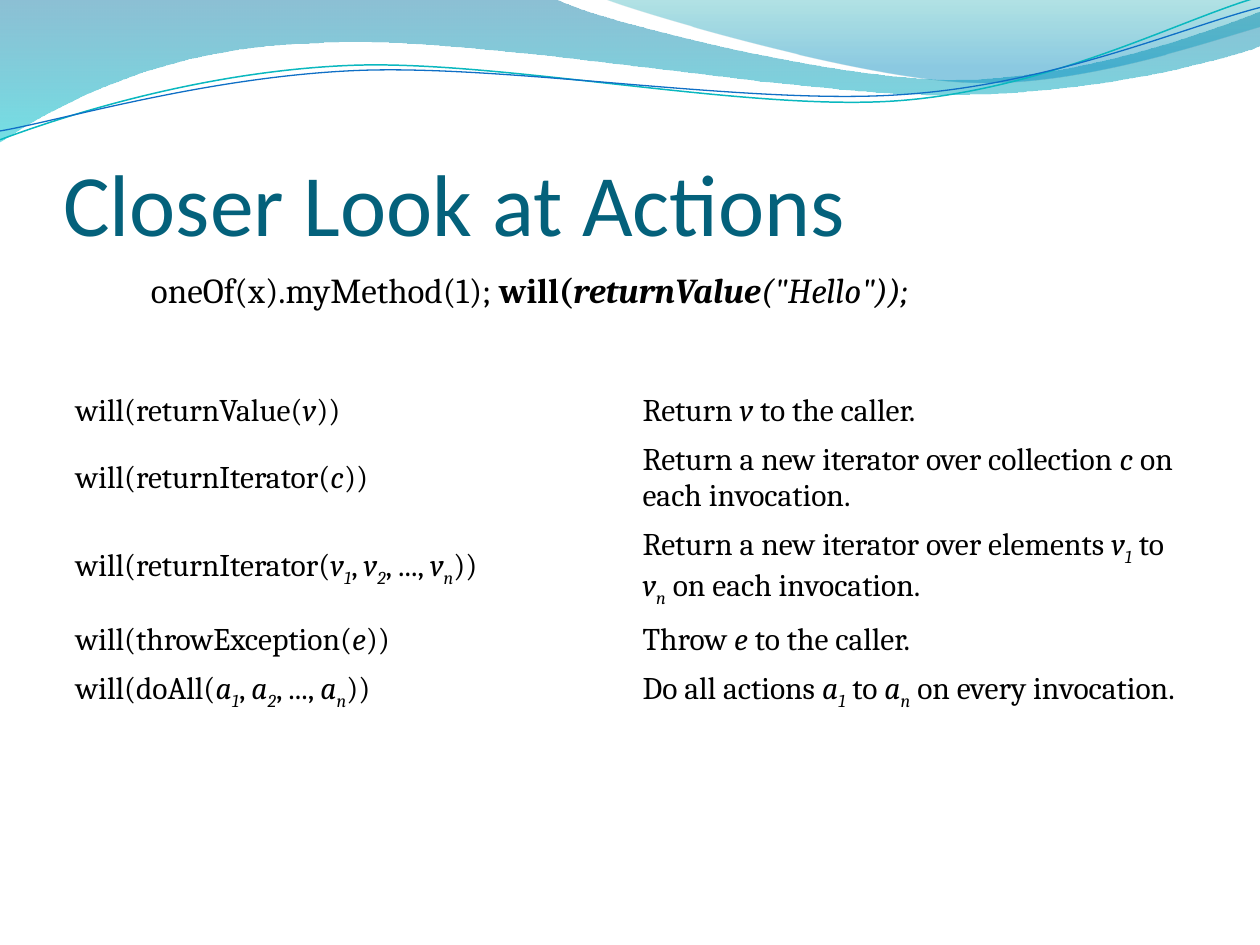
from math import cos, radians, sin

from lxml.etree import SubElement
from pptx import Presentation
from pptx.dml.color import RGBColor
from pptx.enum.text import MSO_ANCHOR, PP_ALIGN
from pptx.oxml.ns import qn
from pptx.util import Inches, Pt

TITLE_COLOR = RGBColor(0x04, 0x61, 0x7B)
TEXT_COLOR = RGBColor(0, 0, 0)
TEAL_LINE = RGBColor(0x0A, 0xB8, 0xBF)
BLUE_LINE = RGBColor(0x0F, 0x6F, 0xC6)
# Gradient stops: position, colour, opacity in percent
LEFT_STOPS = [(0, RGBColor(0x00, 0x74, 0xA1), 45), (1, RGBColor(0x00, 0xC6, 0xCF), 55)]
RIGHT_STOPS = [(0, RGBColor(0x00, 0xA1, 0xA9), 30), (0.8, RGBColor(0x00, 0x8B, 0xBF), 45)]

# Outlines in inches: one point is a straight step, three points are a Bézier curve
LEFT_BAND = [
    [(0, 0)], [(4.4, -0.01)],
    [(4.76, 0.17), (6.64, 0.63), (7.58, 0.63)],
    [(8.53, 0.63), (9.58, 0.26), (10, 0.09)],
    [(10.01, 0.36)],
    [(9.83, 0.44), (8.7, 0.76), (7.46, 0.75)],
    [(6.22, 0.75), (3.82, 0.28), (2.57, 0.34)],
    [(1.29, 0.36), (0.46, 0.83), (-0.01, 1.13)],
    [(0, 0)],
]
RIGHT_BAND = [
    [(4.79, -0.01)],
    [(5.09, 0.11), (6.82, 0.62), (7.69, 0.65)],
    [(8.56, 0.69), (9.61, 0.32), (10, 0.21)],
    [(10, 0)], [(4.79, -0.01)],
]
TEAL_WAVE = [
    [(0, 1.11)],
    [(0.48, 0.93), (1.58, 0.57), (2.77, 0.52)],
    [(3.95, 0.47), (5.93, 0.89), (7.13, 0.8)],
    [(8.33, 0.71), (9.38, 0.15), (9.98, -0.02)],
]
BLUE_WAVE = [
    [(0, 1.04)],
    [(0.47, 0.96), (1.64, 0.61), (2.83, 0.56)],
    [(4.03, 0.51), (5.97, 0.84), (7.17, 0.75)],
    [(8.36, 0.67), (9.41, 0.21), (10, 0.06)],
]
WAVE_TILT = -2.7
WAVE_CENTER = (5, 0.58)

# Braces mark a variable: one italic letter, then its subscript
ACTIONS = [
    ("will(returnValue({v}))", "Return {v} to the caller."),
    ("will(returnIterator({c}))",
     "Return a new iterator over collection {c} on each invocation."),
    ("will(returnIterator({v1}, {v2}, ..., {vn}))",
     "Return a new iterator over elements {v1} to {vn} on each invocation."),
    ("will(throwException({e}))", "Throw {e} to the caller."),
    ("will(doAll({a1}, {a2}, ..., {an}))",
     "Do all actions {a1} to {an} on every invocation."),
]


def add_span(para, text, size, font="Cambria", color=TEXT_COLOR, bold=False, italic=False):
    span = para.add_run()
    span.text = text
    span.font.size = Pt(size)
    span.font.name = font
    span.font.color.rgb = color
    span.font.bold = bold
    span.font.italic = italic
    return span


def add_marked_text(para, text, size):
    """Write text in which {v1} stands for an italic v with subscript 1."""
    for index, part in enumerate(text.replace("}", "{").split("{")):
        if index % 2 == 0:
            add_span(para, part, size)
            continue
        add_span(para, part[0], size, italic=True)
        if part[1:]:
            subscript = add_span(para, part[1:], size, italic=True)
            subscript.font._element.set("baseline", "-25000")


def turn(point, center, degrees):
    angle = radians(degrees)
    dx, dy = point[0] - center[0], point[1] - center[1]
    return (center[0] + dx * cos(angle) - dy * sin(angle),
            center[1] + dx * sin(angle) + dy * cos(angle))


def add_outline(page, box, outline):
    """Build a freeform through the step ends, then bend its curved steps."""
    left, top = box[:2]
    steps = [[(left + Inches(x), top + Inches(y)) for x, y in step] for step in outline]
    ends = [step[-1] for step in steps]
    builder = page.shapes.build_freeform(*ends[0])
    builder.add_line_segments(ends[1:], close=ends[0] == ends[-1])
    shape = builder.convert_to_shape()
    shape.shadow.inherit = False
    lines = list(shape._element.iter(qn("a:lnTo")))
    for line, step in zip(lines, steps[1:]):
        if len(step) == 3:
            curve = SubElement(line.getparent(), qn("a:cubicBezTo"))
            for x, y in step:
                point = SubElement(curve, qn("a:pt"))
                point.set("x", str(x - shape.left))
                point.set("y", str(y - shape.top))
            line.getparent().replace(line, curve)
    return shape


def add_band(page, box, outline, stops):
    band = add_outline(page, box, outline)
    band.line.fill.background()
    band.fill.gradient()
    band.fill.gradient_angle = 270
    for stop, (position, color, opacity) in zip(band.fill.gradient_stops, stops):
        stop.position = position
        stop.color.rgb = color
        rgb = stop._gs.find(qn("a:srgbClr"))
        SubElement(rgb, qn("a:alpha")).set("val", str(opacity * 1000))


def add_wave(page, box, outline, color, width):
    level = [[turn(point, WAVE_CENTER, -WAVE_TILT) for point in step] for step in outline]
    wave = add_outline(page, box, level)
    wave.rotation = WAVE_TILT
    wave.fill.background()
    wave.line.color.rgb = color
    wave.line.width = Pt(width)


def add_header_waves(page, box):
    add_band(page, box, LEFT_BAND, LEFT_STOPS)
    add_band(page, box, RIGHT_BAND, RIGHT_STOPS)
    add_wave(page, box, TEAL_WAVE, TEAL_LINE, 0.85)
    add_wave(page, box, BLUE_WAVE, BLUE_LINE, 0.75)


def place_title(page, box, text):
    title = page.shapes.title
    title.left, title.top, title.width, title.height = box
    frame = title.text_frame
    frame.vertical_anchor = MSO_ANCHOR.BOTTOM
    frame.margin_left = frame.margin_right = frame.margin_bottom = 0
    frame.margin_top = Inches(0.05)
    para = frame.paragraphs[0]
    para.alignment = PP_ALIGN.LEFT
    add_span(para, text, 50, "Calibri", TITLE_COLOR)


def add_action_table(page, box):
    holder = page.shapes.add_table(len(ACTIONS), 2, *box)
    table = holder.table
    table.first_row = table.horz_banding = False
    for row, texts in zip(table.rows, ACTIONS):
        row.height = 0  # each row grows to fit its text
        for cell, text in zip(row.cells, texts):
            cell.fill.background()
            cell.vertical_anchor = MSO_ANCHOR.MIDDLE
            add_marked_text(cell.text_frame.paragraphs[0], text, 18)
    holder.height = box[3]


def add_code_line(page, box):
    frame = page.shapes.add_textbox(*box).text_frame
    frame.word_wrap = True
    para = frame.paragraphs[0]
    para.level = 1
    para._p.get_or_add_pPr().set("marL", str(Inches(0.43)))
    add_span(para, "oneOf(x).myMethod(1); ", 20)
    add_span(para, "will(", 20, bold=True)
    add_span(para, "returnValue", 20, bold=True, italic=True)
    add_span(para, '("Hello"));', 20, italic=True)


def main():
    deck = Presentation()
    deck.slide_width, deck.slide_height = Inches(10), Inches(7.5)
    page = deck.slides.add_slide(deck.slide_layouts[5])
    add_header_waves(page, (0, 0, deck.slide_width, Inches(1.13)))
    place_title(page, (Inches(0.5), Inches(0.77), Inches(9), Inches(1.25)),
                "Closer Look at Actions")
    add_action_table(page, (Inches(0.5), Inches(3.07), Inches(9), Inches(2.9)))
    add_code_line(page, (Inches(0.67), Inches(2.08), Inches(7.83), Inches(0.44)))
    deck.save("out.pptx")


if __name__ == "__main__":
    main()
